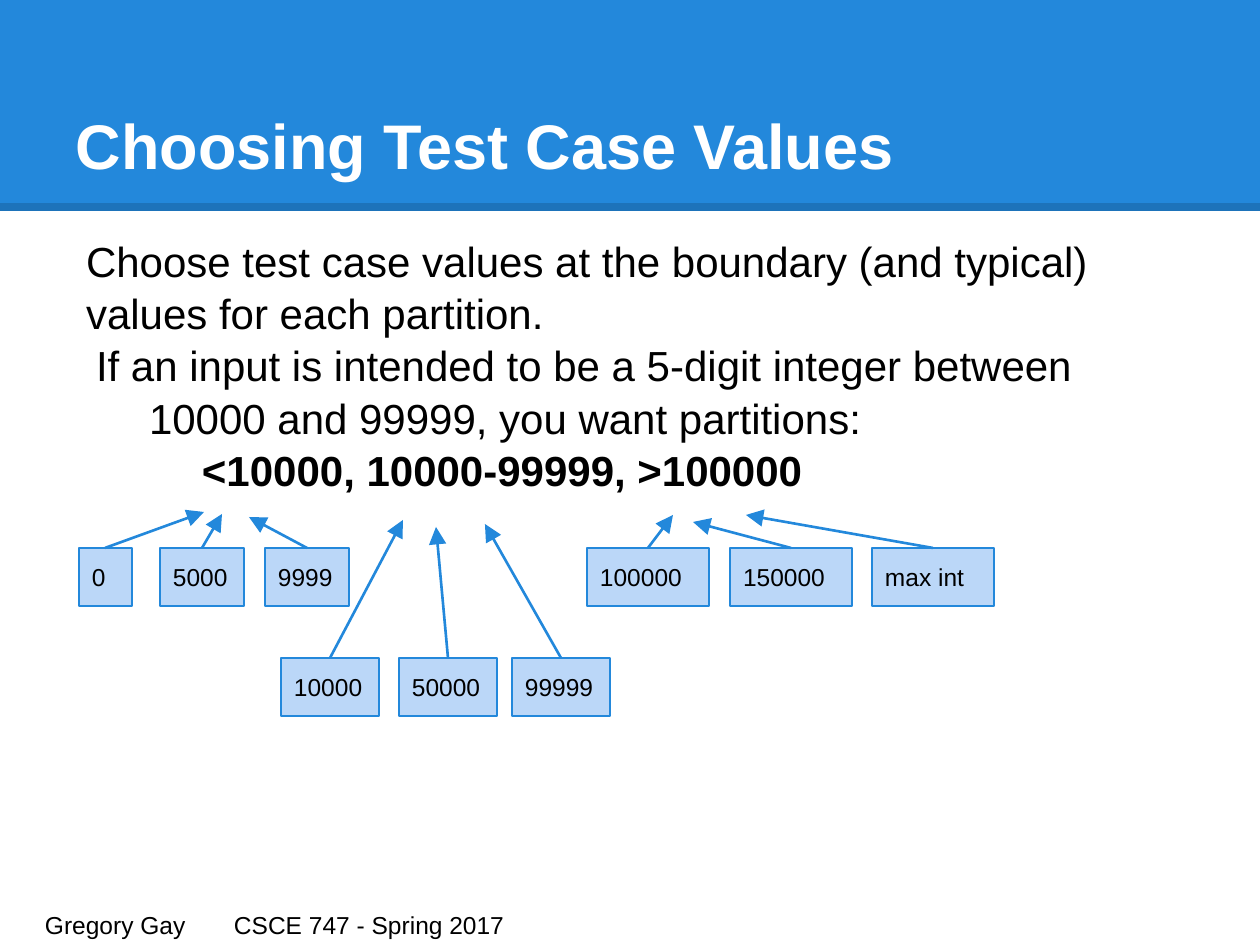
import pptx
import pptx.dml.color
import pptx.enum.shapes
import pptx.enum.text
import pptx.oxml.ns
import pptx.util
from lxml import etree

PX_PER_INCH = 126
WIDTH, HEIGHT = 1260, 945
INSET = 13
COLORS = {"blue": "2388DB", "pale": "BBD7F8", "black": "000000", "white": "FFFFFF"}
ANCHOR = pptx.enum.text.MSO_ANCHOR

BODY = [
    dict(text="Choose test case values at the boundary (and typical) values for each partition."),
    dict(text="If an input is intended to be a 5-digit integer between 10000 and 99999, "
              "you want partitions:", margin=63, indent=-53),
    dict(text="<10000, 10000-99999, >100000", margin=63, indent=53, bold=True),
]

# Each row: top, box width, then (value, left, arrow tip)
VALUE_ROWS = [
    (548, 53, [("0", 79, (204, 512))]),
    (548, 84, [("5000", 160, (222, 514)), ("9999", 265, (249, 517))]),
    (658, 98, [("10000", 281, (403, 520)), ("50000", 399, (436, 527)),
               ("99999", 512, (485, 524))]),
    (548, 122, [("100000", 587, (673, 515)), ("150000", 730, (693, 522)),
                ("max int", 872, (746, 515))]),
]
BOX_HEIGHT = 58


def px(length):
    return pptx.util.Emu(round(length * 914400 / PX_PER_INCH))


def rgb(name):
    return pptx.dml.color.RGBColor.from_string(COLORS[name])


def add_xml(parent, tag, **attributes):
    child = etree.SubElement(parent, pptx.oxml.ns.qn(tag))
    for key, value in attributes.items():
        child.set(key, str(value))
    return child


def write(paragraph, text, size=14, color="black", bold=False, margin=0, indent=0,
          spacing=1.0, tab=None):
    paragraph.alignment = pptx.enum.text.PP_ALIGN.LEFT
    paragraph.space_before = paragraph.space_after = pptx.util.Pt(0)
    paragraph.line_spacing = spacing
    properties = paragraph._p.get_or_add_pPr()
    properties.set("marL", str(px(margin)))
    properties.set("indent", str(px(indent)))
    add_xml(properties, "a:buNone")
    if tab:
        add_xml(add_xml(properties, "a:tabLst"), "a:tab", pos=px(tab), algn="l")
    run = paragraph.add_run()
    run.text = text
    run.font.name = "Arial"
    run.font.size = pptx.util.Pt(size)
    run.font.bold = bold
    run.font.color.rgb = rgb(color)


class Deck:
    def __init__(self):
        self.presentation = pptx.Presentation()
        self.presentation.slide_width = px(WIDTH)
        self.presentation.slide_height = px(HEIGHT)
        self.slide = self.presentation.slides.add_slide(self.presentation.slide_layouts[1])
        self.shapes = self.slide.shapes

    def frame(self, shape, anchor=ANCHOR.TOP):
        frame = shape.text_frame
        frame.word_wrap = True
        frame.auto_size = pptx.enum.text.MSO_AUTO_SIZE.NONE
        frame.vertical_anchor = anchor
        frame.margin_left = frame.margin_right = px(INSET)
        frame.margin_top = frame.margin_bottom = px(INSET)
        return frame

    def placeholder(self, index, left, top, width, height, paragraphs, anchor=ANCHOR.TOP,
                    **style):
        holder = self.slide.placeholders[index]
        holder.left, holder.top = px(left), px(top)
        holder.width, holder.height = px(width), px(height)
        frame = self.frame(holder, anchor)
        for number, entry in enumerate(paragraphs):
            paragraph = frame.add_paragraph() if number else frame.paragraphs[0]
            write(paragraph, **style, **entry)

    def rectangle(self, left, top, width, height, fill, line=None):
        shape = self.shapes.add_shape(pptx.enum.shapes.MSO_SHAPE.RECTANGLE,
                                      px(left), px(top), px(width), px(height))
        shape.shadow.inherit = False
        shape.fill.solid()
        shape.fill.fore_color.rgb = rgb(fill)
        if line:
            shape.line.color.rgb = rgb(line)
            shape.line.width = pptx.util.Pt(1.5)
        else:
            shape.line.fill.background()
        return shape

    def value_box(self, text, left, top, width):
        box = self.rectangle(left, top, width, BOX_HEIGHT, "pale", "blue")
        write(self.frame(box, ANCHOR.MIDDLE).paragraphs[0], text)

    def line(self, start, end, color="blue", width=1.5, arrow=False, opacity=None):
        connector = self.shapes.add_connector(pptx.enum.shapes.MSO_CONNECTOR.STRAIGHT,
                                              *map(px, (*start, *end)))
        connector.line.color.rgb = rgb(color)
        connector.line.width = pptx.util.Pt(width)
        outline = connector.line._get_or_add_ln()
        if opacity:
            fill_color = outline.find(".//" + pptx.oxml.ns.qn("a:srgbClr"))
            add_xml(fill_color, "a:alpha", val=opacity * 1000)
        if arrow:
            add_xml(outline, "a:tailEnd", type="triangle", w="lg", len="lg")
        add_xml(outline.getparent(), "a:effectLst")
        return connector

    def send_to_back(self, *parts):
        for position, part in enumerate(parts, start=2):
            self.shapes.element.insert(position, part.element)

    def text(self, left, top, width, height, text, **style):
        box = self.shapes.add_textbox(px(left), px(top), px(width), px(height))
        write(self.frame(box).paragraphs[0], text, **style)


def main():
    deck = Deck()

    # Title band with its darker lower edge
    band = deck.rectangle(0, 0, WIDTH, 211, "blue")
    edge = deck.line((0, 207), (WIDTH, 207), "black", 4.5, opacity=15)
    deck.send_to_back(band, edge)

    # Title and body
    deck.placeholder(0, 63, 38, 1134, 157, [dict(text="Choosing Test Case Values")],
                     ANCHOR.BOTTOM, size=36, color="white", bold=True)
    deck.placeholder(1, 73, 220, 1134, 684, BODY, size=24, spacing=1.04)

    # Test values, each pointing at its partition
    for top, width, values in VALUE_ROWS:
        for value, left, tip in values:
            deck.value_box(value, left, top, width)
            deck.line((left + width // 2, top), tip, arrow=True)

    # Footer
    deck.text(32, 897, 1198, 38, "Gregory Gay\tCSCE 747 - Spring 2017", tab=756)

    deck.presentation.save("out.pptx")


if __name__ == "__main__":
    main()
